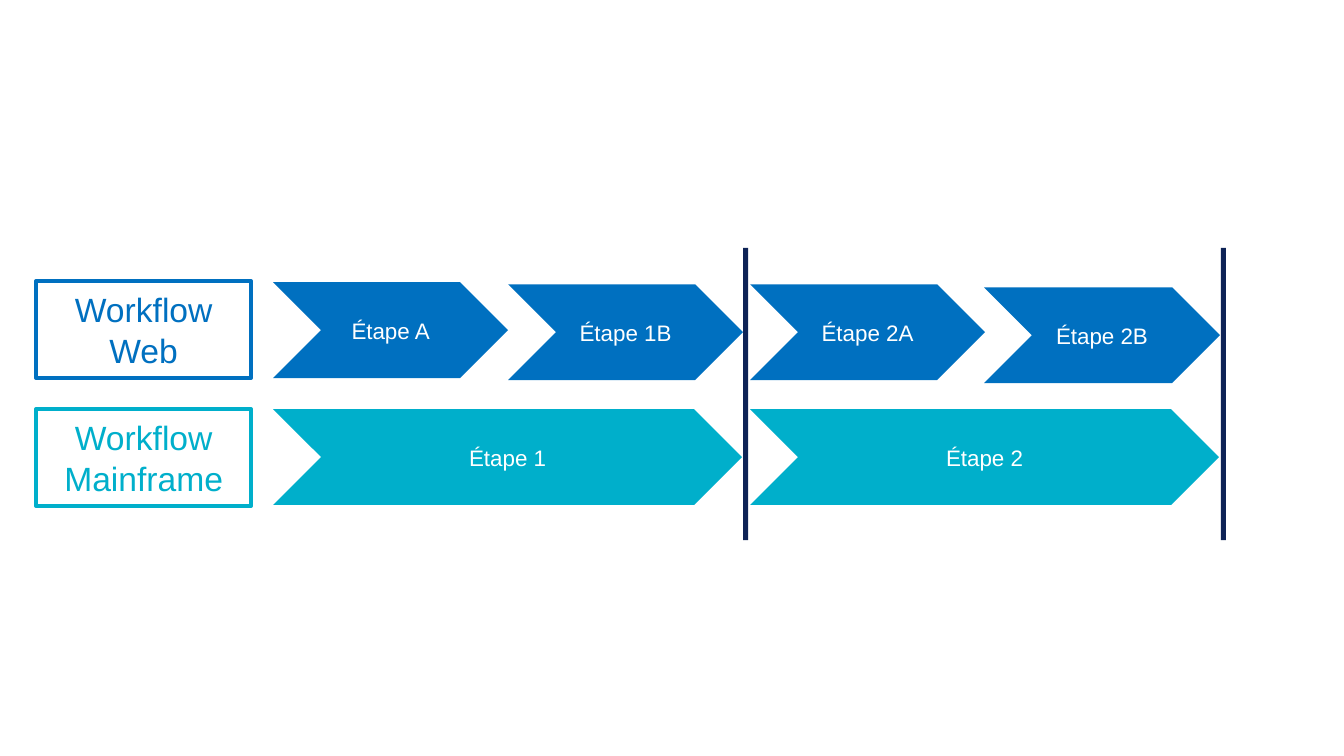
from pptx import Presentation
from pptx import util as u
from pptx.dml.color import RGBColor
from pptx.enum import shapes, text

WEB, MAINFRAME, NAVY, WHITE = "0070C0", "00AFCB", "0E2356", "FFFFFF"
LEFT, LABEL_W, LANE_H = 0.36, 2.13, 0.96
STEP_H, HALF_W = 0.95, 2.33
PHASES = (2.71, 7.44)
LANE_W = 11.74


def rgb(value):
    """Turn a hex string into a colour."""
    return RGBColor.from_string(value)


def add_box(s, kind, box, fill=None, line=None):
    """Add a flat preset shape at a box given in inches."""
    sp = s.shapes.add_shape(kind, *(u.Inches(v) for v in box))
    sp.shadow.inherit = False
    if fill:
        sp.fill.solid()
        sp.fill.fore_color.rgb = rgb(fill)
    else:
        sp.fill.background()
    if line:
        sp.line.color.rgb = rgb(line)
        sp.line.width = u.Pt(3)
    else:
        sp.line.fill.background()
    return sp


def write(sp, words, size=16, color=WHITE, font="Arial"):
    """Write centred text in a shape."""
    tf = sp.text_frame
    tf.word_wrap = True
    tf.vertical_anchor = text.MSO_ANCHOR.MIDDLE
    p = tf.paragraphs[0]
    p.alignment = text.PP_ALIGN.CENTER
    p.space_before = u.Pt(3.8)
    r = p.add_run()
    r.text = words
    r.font.size, r.font.name = u.Pt(size), font
    r.font.color.rgb = rgb(color)


def add_lane(s, box, label, color, steps):
    """Draw a workflow label and its chevrons, offset from the lane's corner."""
    x, y, w, h = box
    sp = add_box(s, shapes.MSO_SHAPE.RECTANGLE, (x, y, LABEL_W, h), line=color)
    write(sp, label, 24, color)
    for words, dx, dy, step_w in steps:
        sp = add_box(s, shapes.MSO_SHAPE.CHEVRON,
                     (x + dx, y + dy, step_w, STEP_H), color)
        write(sp, words)


def add_milestones(s, box):
    """Draw the bars that close each phase, at both ends of the box."""
    x, y, w, h = box
    bar_w = 0.05
    for left in (x, x + w - bar_w):
        add_box(s, shapes.MSO_SHAPE.RECTANGLE, (left, y, bar_w, h), NAVY)


def build_slide(prs):
    """Lay out both workflows and the phase milestones."""
    s = prs.slides.add_slide(prs.slide_layouts[6])
    first, second = (x - LEFT for x in PHASES)
    add_lane(s, (LEFT, 4.06, LANE_W, LANE_H), "Workflow Mainframe", MAINFRAME,
             [("Étape 1", first, 0, 2 * HALF_W - 0.01),
              ("Étape 2", second, 0, 2 * HALF_W - 0.01)])
    add_lane(s, (LEFT, 2.79, LANE_W, LANE_H), "Workflow Web", WEB,
             [("Étape A", first, 0.01, HALF_W),
              ("Étape 1B", first + HALF_W, 0.03, HALF_W),
              ("Étape 2A", second, 0.03, HALF_W),
              ("Étape 2B", second + HALF_W - 0.01, 0.06, HALF_W + 0.01)])
    add_milestones(s, (7.37, 2.46, 4.79, 2.9))


prs = Presentation()
prs.slide_width, prs.slide_height = u.Inches(13.33), u.Inches(7.5)
build_slide(prs)
prs.save("out.pptx")
